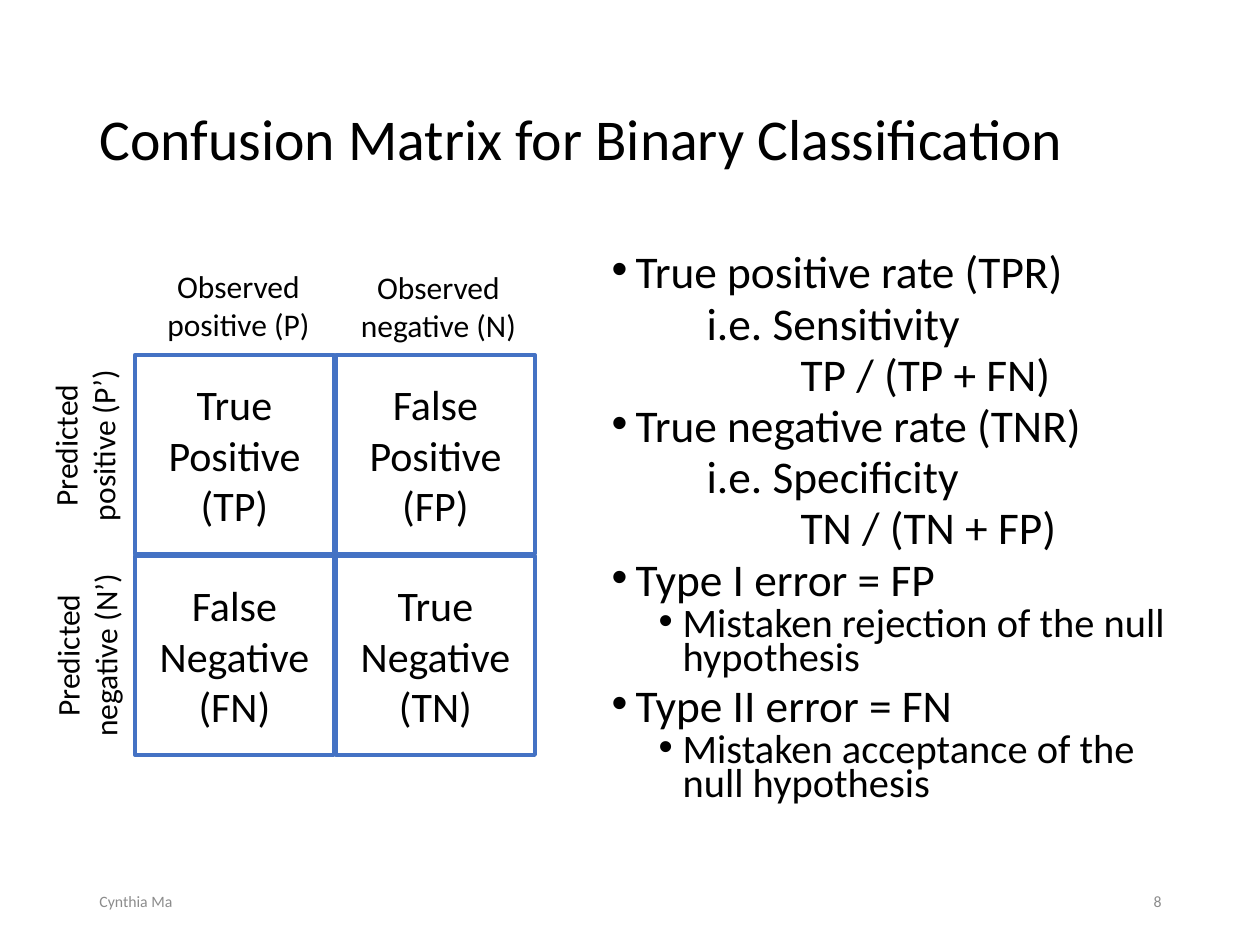
import pptx
import pptx.dml.color
import pptx.enum.shapes
import pptx.enum.text
import pptx.util
from lxml import etree

ALIGN = pptx.enum.text.PP_ALIGN
ANCHOR = pptx.enum.text.MSO_ANCHOR
FIT = pptx.enum.text.MSO_AUTO_SIZE


def px(length):
    return pptx.util.Emu(round(length * 914400 / 126))


def color(value):
    return pptx.dml.color.RGBColor.from_string(value)


class SlideBuilder:
    font = "Calibri"
    ink = "000000"
    muted = "8C8C8C"
    accent = "4472C4"
    paper = "FFFFFF"

    def __init__(self, page):
        self.page = page

    def place(self, shape, left, top, width, height):
        shape.left, shape.top = px(left), px(top)
        shape.width, shape.height = px(width), px(height)

    def frame(self, shape, anchor, fit=FIT.NONE):
        frame = shape.text_frame
        frame.word_wrap = True
        frame.auto_size = fit
        frame.vertical_anchor = anchor
        return frame

    def add_span(self, para, text, size, align=ALIGN.LEFT, ink=None):
        para.alignment = align
        span = para.add_run()
        span.text = text
        span.font.name = self.font
        span.font.size = pptx.util.Pt(size)
        span.font.color.rgb = color(ink or self.ink)

    def paragraph(self, frame, index):
        return frame.add_paragraph() if index else frame.paragraphs[0]

    def title(self, text, *bounds):
        box = self.page.shapes.title
        self.place(box, *bounds)
        para = self.frame(box, ANCHOR.MIDDLE).paragraphs[0]
        para.line_spacing = 0.9
        self.add_span(para, text, 33)

    def bullets(self, items, *bounds):
        box = self.page.placeholders[1]
        self.place(box, *bounds)
        frame = self.frame(box, ANCHOR.TOP)
        for index, (kind, text) in enumerate(items):
            level, size, before, margin, hang, bullet = BULLET_STYLES[kind]
            para = self.paragraph(frame, index)
            para.level = level
            para.line_spacing = 0.7
            para.space_before = pptx.util.Pt(before)
            para.space_after = pptx.util.Pt(0)
            self.add_span(para, text, size)
            properties = para._p.get_or_add_pPr()
            properties.set("marL", str(px(margin)))
            properties.set("indent", str(px(-hang)))
            if bullet:
                font = etree.SubElement(properties, pptx.oxml.ns.qn("a:buFont"))
                font.set("typeface", "Arial")
                mark = etree.SubElement(properties, pptx.oxml.ns.qn("a:buChar"))
                mark.set("char", "•")
            else:
                etree.SubElement(properties, pptx.oxml.ns.qn("a:buNone"))

    def cell(self, lines, *bounds):
        box = self.page.shapes.add_shape(
            pptx.enum.shapes.MSO_SHAPE.RECTANGLE, *map(px, bounds))
        box.shadow.inherit = False
        box.fill.solid()
        box.fill.fore_color.rgb = color(self.paper)
        box.line.color.rgb = color(self.accent)
        box.line.width = pptx.util.Pt(2.25)
        frame = self.frame(box, ANCHOR.MIDDLE)
        for index, line in enumerate(lines):
            self.add_span(self.paragraph(frame, index), line, 24, ALIGN.CENTER)

    def label(self, text, left, top, rotation):
        box = self.page.shapes.add_textbox(*map(px, (left, top, 199, 89)))
        box.rotation = rotation
        frame = self.frame(box, ANCHOR.TOP, FIT.SHAPE_TO_FIT_TEXT)
        self.add_span(frame.paragraphs[0], text, 18, ALIGN.CENTER)

    def footer(self, text, left, align):
        box = self.page.shapes.add_textbox(*map(px, (left, 876, 284, 50)))
        frame = self.frame(box, ANCHOR.MIDDLE)
        self.add_span(frame.paragraphs[0], text, 9, align, self.muted)


BULLET_STYLES = {
    "main": (0, 25.9, 7.5, 24, 24, True),
    "name": (0, 25.9, 7.5, 95, 0, False),
    "formula": (0, 25.9, 7.5, 189, 0, False),
    "detail": (1, 23.1, 3.8, 71, 24, True),
}

RATES = [
    ("main", "True positive rate (TPR)"),
    ("name", "i.e. Sensitivity"),
    ("formula", "TP / (TP + FN)"),
    ("main", "True negative rate (TNR)"),
    ("name", "i.e. Specificity"),
    ("formula", "TN / (TN + FP)"),
    ("main", "Type I error = FP"),
    ("detail", "Mistaken rejection of the null hypothesis"),
    ("main", "Type II error = FN"),
    ("detail", "Mistaken acceptance of the null hypothesis"),
]

MATRIX = [
    [("True Positive", "(TP)"), ("False Positive", "(FP)")],
    [("False Negative", "(FN)"), ("True Negative", "(TN)")],
]

LABELS = [
    ("Observed positive (P)", 139, 261, 0),
    ("Observed negative (N)", 339, 262, 0),
    ("Predicted positive (P’)", -15, 401, 270),
    ("Predicted negative (N’)", -13, 611, 270),
]


def main():
    deck = pptx.Presentation()
    deck.slide_width, deck.slide_height = px(1260), px(945)
    builder = SlideBuilder(deck.slides.add_slide(deck.slide_layouts[1]))
    builder.title("Confusion Matrix for Binary Classification", 87, 50, 1086, 183)
    builder.bullets(RATES, 599, 252, 599, 600)
    builder.footer("Cynthia Ma", 87, ALIGN.LEFT)
    builder.footer("8", 890, ALIGN.RIGHT)
    for row, cells in enumerate(MATRIX):
        for column, lines in enumerate(cells):
            builder.cell(lines, 135 + 201 * column, 355 + 201 * row, 199, 199)
    for label in LABELS:
        builder.label(*label)
    deck.save("out.pptx")


if __name__ == "__main__":
    main()
